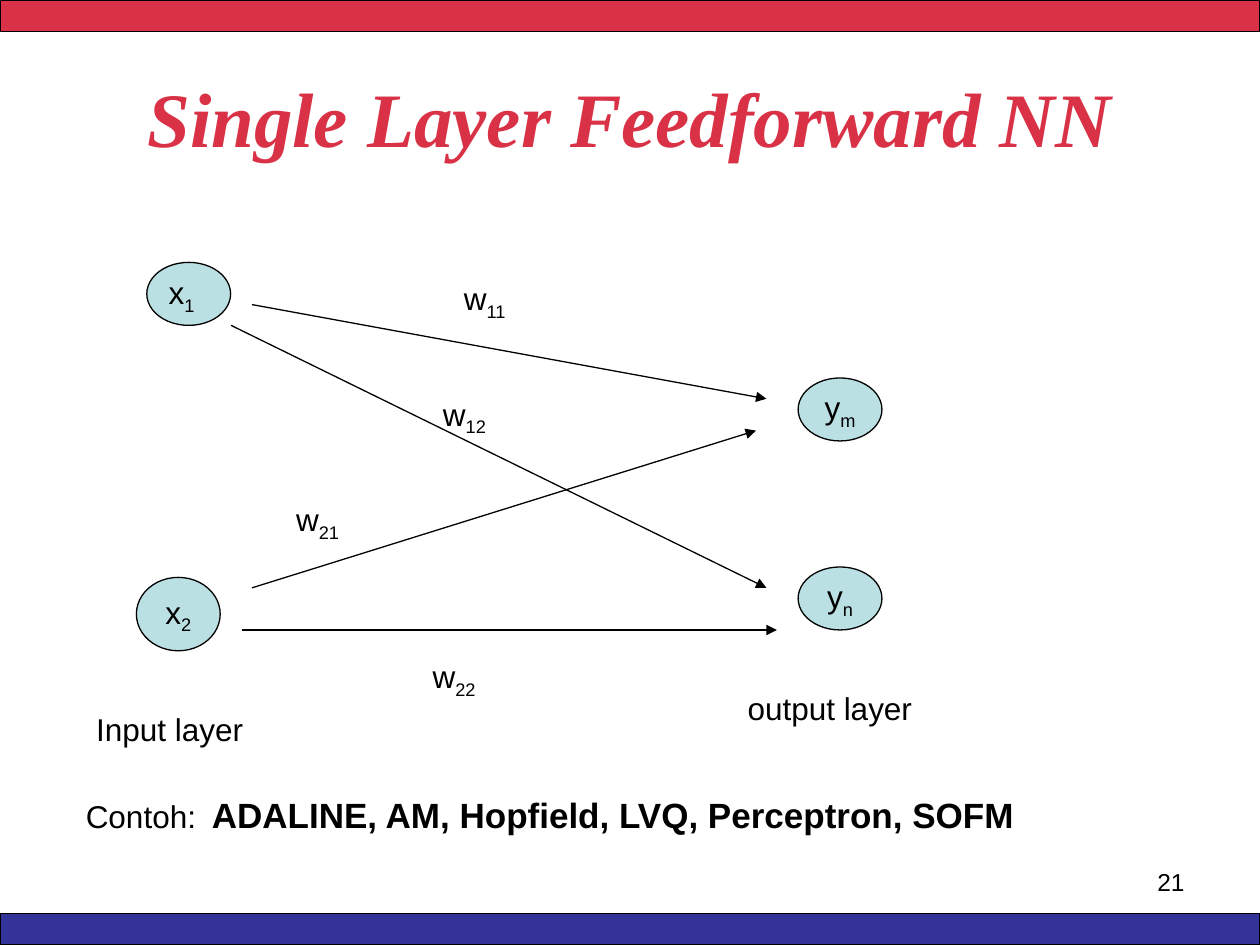
from dataclasses import dataclass

from lxml.etree import SubElement
from pptx import Presentation
from pptx.dml.color import RGBColor as RGB
from pptx.enum.shapes import MSO_CONNECTOR as Link, MSO_SHAPE as Kind
from pptx.enum.text import MSO_ANCHOR as Anchor, PP_ALIGN as Align
from pptx.oxml.ns import qn
from pptx.util import Cm, Pt


@dataclass(frozen=True)
class Theme:
    red: RGB = RGB(0xD9, 0x31, 0x45)
    navy: RGB = RGB(0x33, 0x33, 0x99)
    node: RGB = RGB(0xBB, 0xE0, 0xE3)
    ink: RGB = RGB(0, 0, 0)
    sans: str = "Arial"
    serif: str = "Times New Roman"
    head: Pt = Pt(44)
    list: Pt = Pt(20)
    body: Pt = Pt(18)
    page: Pt = Pt(14)
    line: Pt = Pt(0.75)


THEME = Theme()
WIDE, HIGH, BAR = 25.4, 19.05, 0.64
NODE_W, NODE_H = 1.69, 1.27


def style(para, size=THEME.body, face=THEME.sans, color=THEME.ink):
    para.font.size, para.font.name = size, face
    para.font.color.rgb = color


def add_sub(para, base, sub):
    """Write a symbol with a subscript."""
    para.add_run().text = base
    low = para.add_run()
    low.text = sub
    low._r.get_or_add_rPr().set("baseline", "-25000")
    style(para)


def add_shape(slide, kind, box, fill):
    shape = slide.shapes.add_shape(kind, *map(Cm, box))
    shape.shadow.inherit = False
    shape.fill.solid()
    shape.fill.fore_color.rgb = fill
    shape.line.color.rgb = THEME.ink
    shape.line.width = THEME.line
    return shape


def add_node(slide, left, top, high=NODE_H, name=None):
    node = add_shape(slide, Kind.OVAL, (left, top, NODE_W, high), THEME.node)
    if name:
        frame = node.text_frame
        frame.word_wrap = False
        frame.vertical_anchor = Anchor.MIDDLE
        para = frame.paragraphs[0]
        para.alignment = Align.CENTER
        add_sub(para, *name)


def add_box(slide, box, anchor=Anchor.TOP):
    """Add an empty text box and return its paragraph."""
    frame = slide.shapes.add_textbox(*map(Cm, box)).text_frame
    frame.word_wrap = True
    frame.vertical_anchor = anchor
    return frame.paragraphs[0]


def add_title(slide, text):
    para = add_box(slide, (1.27, 0.76, 22.86, 3.18), Anchor.MIDDLE)
    para.text = text
    para.alignment = Align.CENTER
    style(para, THEME.head, THEME.serif, THEME.red)
    para.font.bold = para.font.italic = True


def add_arrow(slide, *ends):
    arrow = slide.shapes.add_connector(Link.STRAIGHT, *map(Cm, ends))
    arrow.line.color.rgb = THEME.ink
    arrow.line.width = THEME.line
    SubElement(arrow.line._get_or_add_ln(), qn("a:tailEnd"), type="triangle")
    SubElement(arrow._element.spPr, qn("a:effectLst"))


def add_list(slide, lead, names):
    para = add_box(slide, (1.48, 15.88, 21.38, 1.12))
    para.add_run().text = lead + "\t"
    run = para.add_run()
    run.text = ", ".join(names)
    run.font.size, run.font.bold = THEME.list, True
    style(para)


def add_page(slide, text):
    para = add_box(slide, (18.2, 17.36, 5.93, 1.31))
    para.text = text
    para.alignment = Align.RIGHT
    style(para, THEME.page)


def main():
    deck = Presentation()
    deck.slide_width, deck.slide_height = Cm(WIDE), Cm(HIGH)
    slide = deck.slides.add_slide(deck.slide_layouts[6])

    for top, fill in ((0, THEME.red), (HIGH - BAR, THEME.navy)):
        add_shape(slide, Kind.RECTANGLE, (0, top, WIDE, BAR), fill)
    add_page(slide, "21")
    add_title(slide, "Single Layer Feedforward NN")

    add_node(slide, 2.96, 5.29)
    add_node(slide, 2.75, 11.64, 1.48, ("x", "2"))
    for top, sub in ((7.62, "m"), (11.43, "n")):
        add_node(slide, 16.09, top, name=("y", sub))

    for ends in (
        (5.08, 6.14, 15.45, 8.04),
        (5.08, 11.85, 15.24, 8.68),
        (4.66, 6.56, 15.45, 11.85),
        (4.87, 12.7, 15.66, 12.7),
    ):
        add_arrow(slide, *ends)

    for left, top, wide, base, sub in (
        (3.15, 5.38, 1.2, "x", "1"),
        (9.1, 5.5, 2.54, "w", "11"),
        (8.68, 7.83, 1.69, "w", "12"),
        (5.72, 9.95, 1.69, "w", "21"),
        (8.47, 13.12, 1.69, "w", "22"),
    ):
        add_sub(add_box(slide, (left, top, wide, 1.12)), base, sub)

    for left, top, text in ((1.69, 14.18, "Input layer"), (14.82, 13.76, "output layer")):
        para = add_box(slide, (left, top, 4.45, 1.02))
        para.text = text
        style(para)

    add_list(slide, "Contoh:", ("ADALINE", "AM", "Hopfield", "LVQ", "Perceptron", "SOFM"))
    deck.save("out.pptx")


if __name__ == "__main__":
    main()
